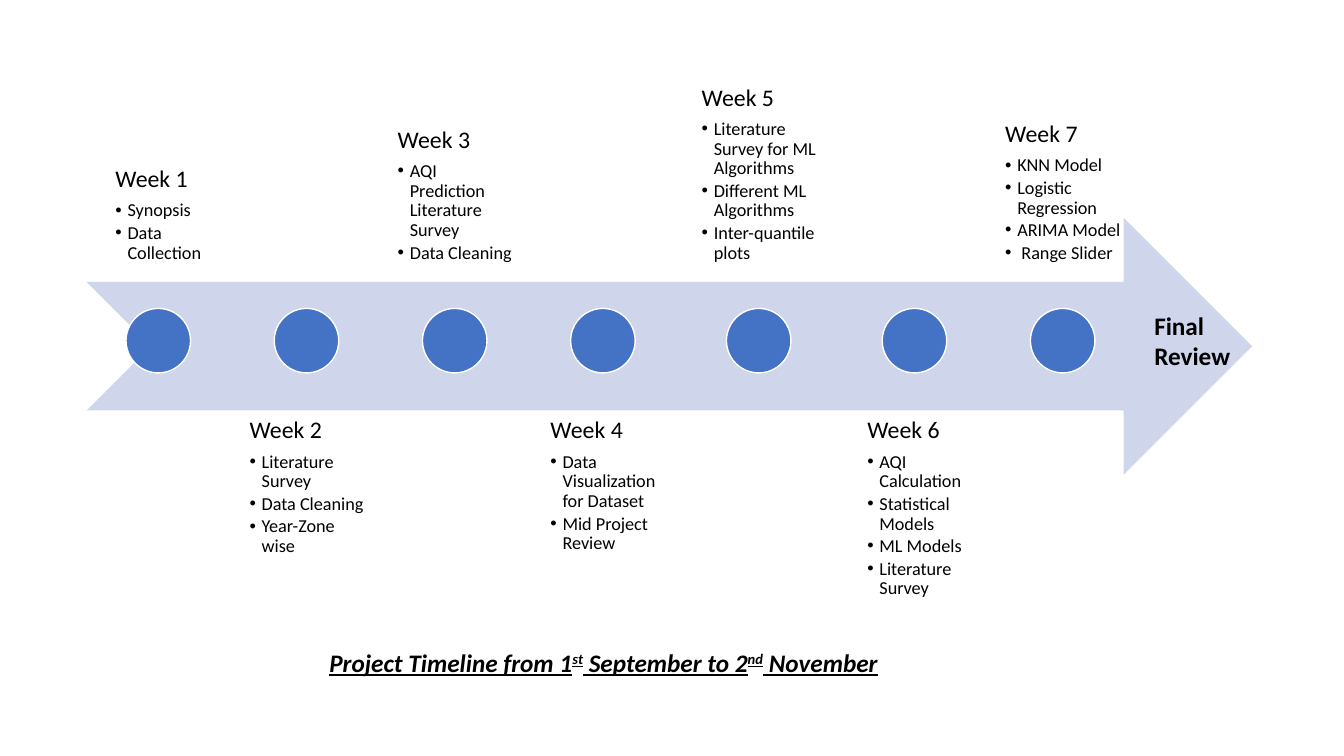
from dataclasses import dataclass

from lxml.etree import SubElement
from pptx import Presentation
from pptx.dml.color import RGBColor
from pptx.enum.shapes import MSO_SHAPE
from pptx.enum.text import MSO_ANCHOR, MSO_AUTO_SIZE, PP_ALIGN
from pptx.oxml.ns import qn
from pptx.util import Inches, Pt

COLORS = {"arrow": "CFD5EA", "marker": "4472C4", "outline": "FFFFFF", "text": "000000"}
HEADING = {"size": Pt(17), "name": "Calibri"}
ITEM = {"size": Pt(13), "name": "Calibri"}
FINAL = {"size": Pt(18), "name": "Calibri", "bold": True}
CAPTION = FINAL | {"italic": True, "underline": True}

FIRST_LEFT, WEEK_GAP, WEEK_HEIGHT = 0.87, 0.07, 2.55
ABOVE_TOP, BELOW_TOP = 0.19, 4.02
MARKER_TOP, MARKER_SIZE = 3.06, 0.64
INSET, HANGING = 0.13, 0.12


@dataclass
class Week:
    name: str
    tasks: list[str]
    width: float = 1.4


WEEKS = [
    Week("Week 1", ["Synopsis", "Data Collection"]),
    Week("Week 2", ["Literature Survey", "Data Cleaning", "Year-Zone wise"]),
    Week("Week 3", ["AQI Prediction Literature Survey", "Data Cleaning"]),
    Week("Week 4", ["Data Visualization for Dataset", "Mid Project Review"]),
    Week("Week 5", ["Literature Survey for ML Algorithms", "Different ML Algorithms",
                    "Inter-quantile plots"], 1.55),
    Week("Week 6", ["AQI Calculation", "Statistical Models", "ML Models",
                    "Literature Survey"]),
    Week("Week 7", ["KNN Model", "Logistic Regression", "ARIMA Model", " Range Slider"]),
]
CAPTION_RUNS = [("Project Timeline from 1", False), ("st", True),
                (" September to 2", False), ("nd", True), (" November", False)]


def rgb(role: str) -> RGBColor:
    return RGBColor.from_string(COLORS[role])


def add_run(paragraph, text: str, style: dict):
    run = paragraph.add_run()
    run.text = text
    for attribute, value in style.items():
        setattr(run.font, attribute, value)
    run.font.color.rgb = rgb("text")
    return run


def add_filled(slide, preset: MSO_SHAPE, box: tuple, role: str):
    shape = slide.shapes.add_shape(preset, *map(Inches, box))
    shape.shadow.inherit = False
    shape.fill.solid()
    shape.fill.fore_color.rgb = rgb(role)
    shape.line.fill.background()
    return shape


def add_marker(slide, center: float) -> None:
    box = (center - MARKER_SIZE / 2, MARKER_TOP, MARKER_SIZE, MARKER_SIZE)
    marker = add_filled(slide, MSO_SHAPE.OVAL, box, "marker")
    marker.line.color.rgb = rgb("outline")
    marker.line.width = Pt(1)


def add_bullet(paragraph) -> None:
    properties = paragraph._p.get_or_add_pPr()
    properties.set("marL", str(Inches(HANGING)))
    properties.set("indent", str(-Inches(HANGING)))
    SubElement(properties, qn("a:buFont"), typeface="Arial")
    SubElement(properties, qn("a:buChar"), char="•")


def add_week(slide, week: Week, left: float, above: bool) -> None:
    """Write a week's heading and tasks, centred as a block over its marker."""
    top = ABOVE_TOP if above else BELOW_TOP
    frame = slide.shapes.add_textbox(
        *map(Inches, (left, top, week.width, WEEK_HEIGHT))).text_frame
    layout = {"word_wrap": True,
              "vertical_anchor": MSO_ANCHOR.BOTTOM if above else MSO_ANCHOR.TOP}
    layout |= {f"margin_{side}": Inches(INSET) for side in ("left", "top", "right", "bottom")}
    for attribute, value in layout.items():
        setattr(frame, attribute, value)
    frame._txBody.bodyPr.set("anchorCtr", "1")

    heading = frame.paragraphs[0]
    heading.line_spacing, heading.space_after = 0.9, Pt(6)
    add_run(heading, week.name, HEADING)
    for task in week.tasks:
        item = frame.add_paragraph()
        item.level = 1
        item.line_spacing, item.space_after = 0.9, Pt(2)
        add_bullet(item)
        add_run(item, task, ITEM)


def add_caption(slide) -> None:
    caption = slide.shapes.title
    caption.left, caption.top, caption.width, caption.height = map(
        Inches, (1.79, 6.37, 8.39, 0.4))
    frame = caption.text_frame
    frame.word_wrap = True
    frame.auto_size = MSO_AUTO_SIZE.SHAPE_TO_FIT_TEXT
    frame.vertical_anchor = MSO_ANCHOR.TOP
    line = frame.paragraphs[0]
    line.alignment = PP_ALIGN.CENTER
    for text, raised in CAPTION_RUNS:
        run = add_run(line, text, CAPTION)
        if raised:
            run.font._element.set("baseline", "30000")


def add_final_review(slide) -> None:
    frame = slide.shapes.add_textbox(*map(Inches, (11.35, 3.03, 1.07, 0.71))).text_frame
    frame.word_wrap = True
    frame.auto_size = MSO_AUTO_SIZE.SHAPE_TO_FIT_TEXT
    add_run(frame.paragraphs[0], "Final Review", FINAL)


def main() -> None:
    deck = Presentation()
    deck.slide_width, deck.slide_height = Inches(13.33), Inches(7.5)
    slide = deck.slides.add_slide(deck.slide_layouts.get_by_name("Title Only"))

    add_filled(slide, MSO_SHAPE.NOTCHED_RIGHT_ARROW, (0.86, 2.16, 11.56, 2.55), "arrow")
    left = FIRST_LEFT
    for index, week in enumerate(WEEKS):
        add_week(slide, week, left, above=index % 2 == 0)
        add_marker(slide, left + week.width / 2)
        left += week.width + WEEK_GAP
    add_caption(slide)
    add_final_review(slide)
    deck.save("out.pptx")


if __name__ == "__main__":
    main()
